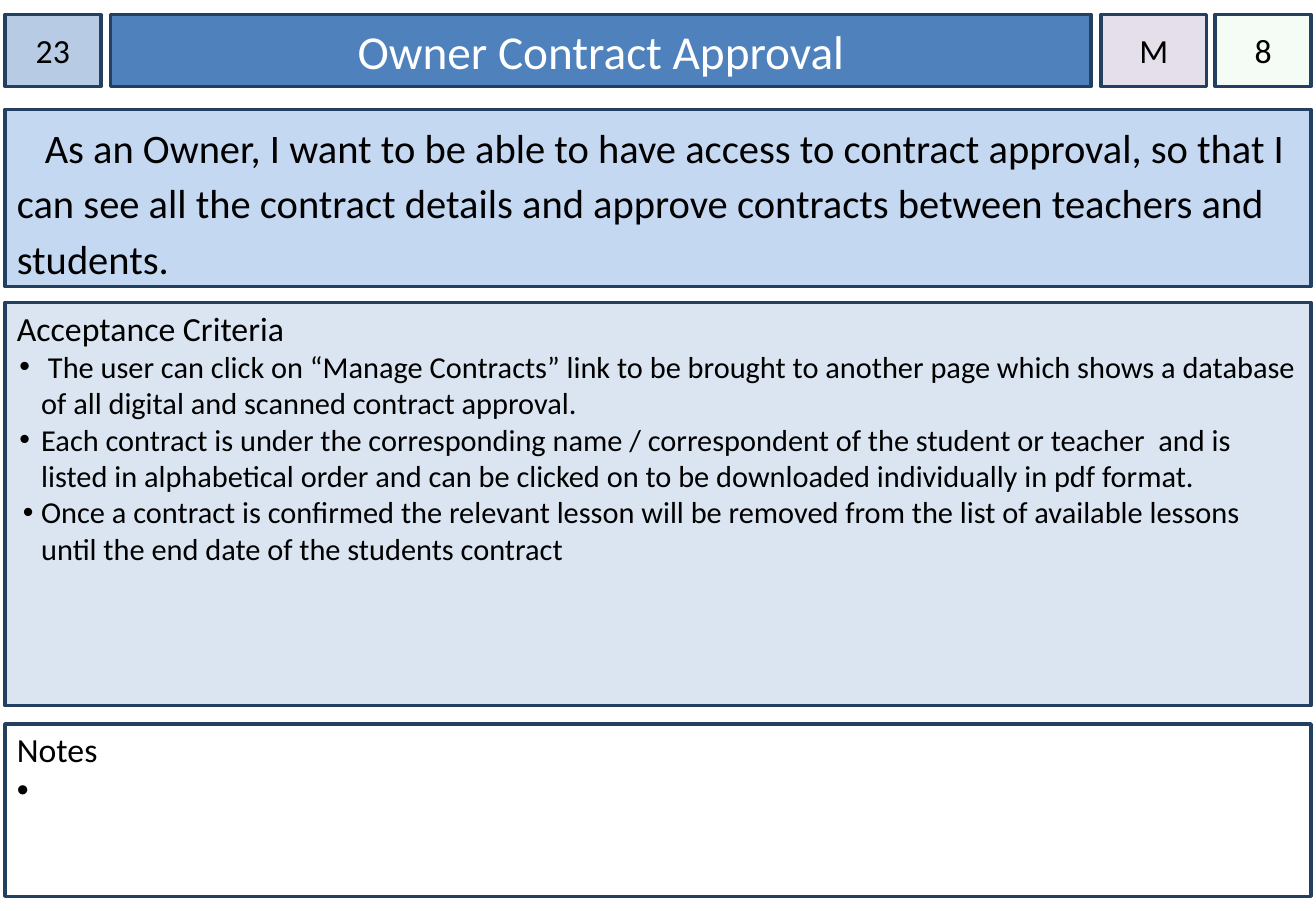
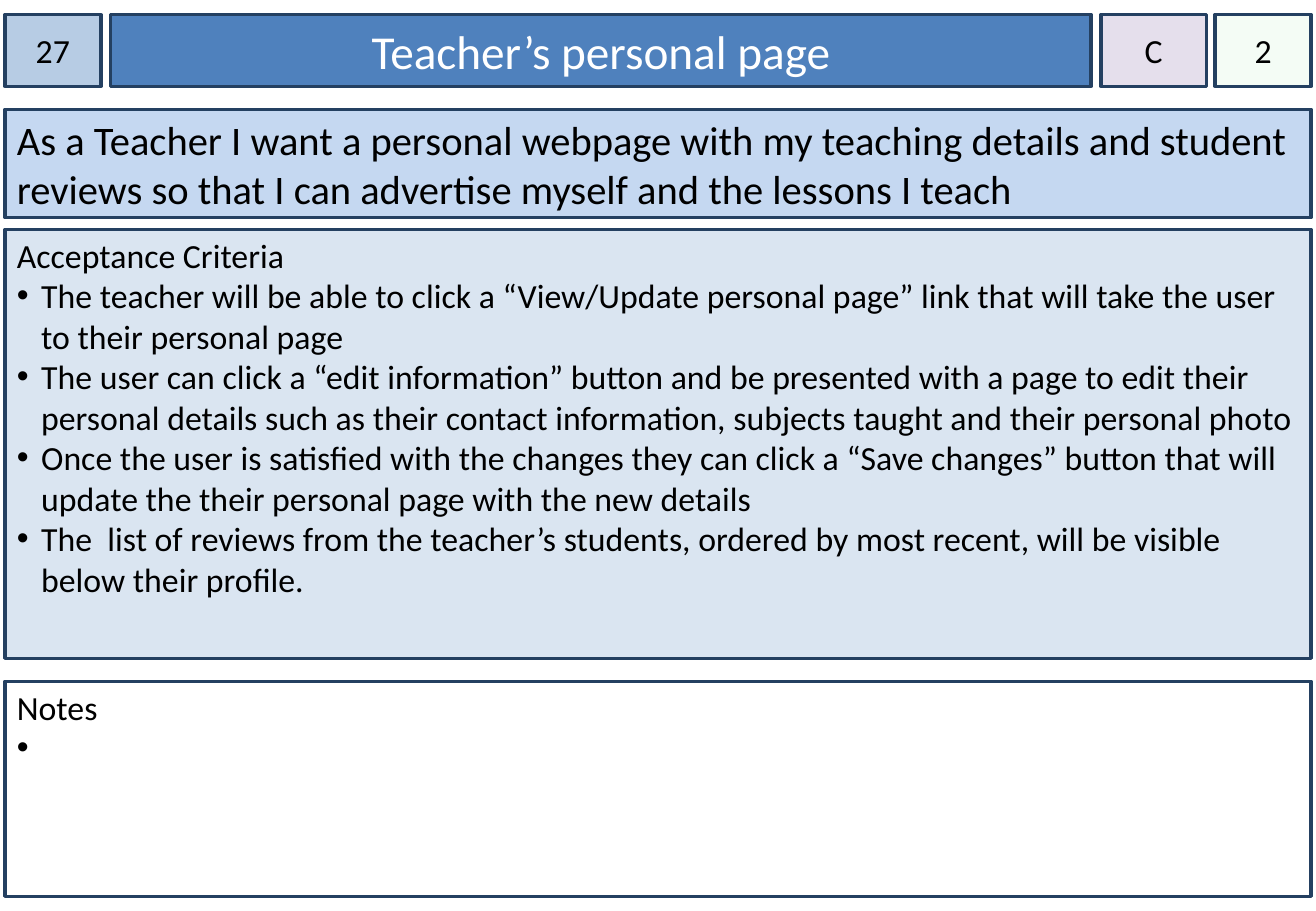
"""Build two user story cards that share one layout."""
from lxml.etree import SubElement
from pptx import Presentation
from pptx.dml.color import RGBColor
from pptx.enum.shapes import MSO_SHAPE
from pptx.enum.text import MSO_ANCHOR, PP_ALIGN
from pptx.oxml.ns import qn
from pptx.util import Inches, Pt

FONT = "Calibri"
BLACK, WHITE, BORDER = "000000", "FFFFFF", "244061"
LEFT, WIDTH, BOTTOM = 0.04, 10.75, 7.38
HEADER_TOP, HEADER_HEIGHT, STORY_TOP = 0.12, 0.59, 0.9
BULLET_MARGIN = 0.2

HEADER = [
    {"key": "number", "left": 0.04, "width": 0.79, "fill": "B7CCE4"},
    {"key": "title", "left": 0.91, "width": 8.07, "fill": "4F81BD",
     "size": 28, "color": WHITE, "inset": 0.1},
    {"key": "points", "left": 10, "width": 0.79, "fill": "CCF0CD", "opacity": 20},
    {"key": "priority", "left": 9.06, "width": 0.87, "fill": "E5DFEC"},
]

CARDS = [
    {
        "number": "23", "title": "Owner Contract Approval", "priority": "M", "points": "8",
        "story": "As an Owner, I want to be able to have access to contract approval, so that I "
                 "can see all the contract details and approve contracts between teachers and "
                 "students.",
        "story_indent": 0.23, "story_spacing": 1.15, "story_height": 1.46,
        "criteria_top": 2.49, "criteria_height": 3.32, "notes_top": 5.96,
        "criteria_size": 18, "hangs": [0.18, 0.18, 0.15],
        "criteria": [
            " The user can click on “Manage Contracts” link to be brought to another page which "
            "shows a database of all digital and scanned contract approval.",
            "Each contract is under the corresponding name / correspondent of the student or "
            "teacher  and is listed in alphabetical order and can be clicked on to be downloaded "
            "individually in pdf format.",
            "Once a contract is confirmed the relevant lesson will be removed from the list of "
            "available lessons until the end date of the students contract",
        ],
    },
    {
        "number": "27", "title": "Teacher’s personal page", "priority": "C", "points": "2",
        "story": "As a Teacher I want a personal webpage with my teaching details and student "
                 "reviews so that I can advertise myself and the lessons I teach",
        "story_indent": 0, "story_spacing": 1, "story_height": 0.89,
        "criteria_top": 1.89, "criteria_height": 3.53, "notes_top": 5.61,
        "criteria_size": 20, "hangs": [0.2] * 4,
        "criteria": [
            "The teacher will be able to click a “View/Update personal page” link that will take "
            "the user to their personal page",
            "The user can click a “edit information” button and be presented with a page to edit "
            "their personal details such as their contact information, subjects taught and their "
            "personal photo",
            "Once the user is satisfied with the changes they can click a “Save changes” button "
            "that will update the their personal page with the new details",
            "The  list of reviews from the teacher’s students, ordered by most recent, will be "
            "visible below their profile.",
        ],
    },
]


def rgb(value):
    return RGBColor.from_string(value)


def add_box(slide, left, top, width, height, fill, inset=0.1, inset_top=0.05, opacity=100):
    shape = slide.shapes.add_shape(
        MSO_SHAPE.RECTANGLE, Inches(left), Inches(top), Inches(width), Inches(height))
    shape.shadow.inherit = False
    shape.fill.solid()
    shape.fill.fore_color.rgb = rgb(fill)
    if opacity < 100:
        color = shape.fill._xPr.find(qn("a:solidFill"))[0]
        SubElement(color, qn("a:alpha"), val=str(opacity * 1000))
    shape.line.color.rgb = rgb(BORDER)
    shape.line.width = Pt(2)
    text_frame = shape.text_frame
    text_frame.word_wrap = True
    text_frame.vertical_anchor = MSO_ANCHOR.TOP
    text_frame.margin_left = text_frame.margin_right = Inches(inset)
    text_frame.margin_top, text_frame.margin_bottom = Inches(inset_top), Inches(0.05)
    return text_frame


def write(paragraph, text, size, color=BLACK, align=PP_ALIGN.LEFT):
    paragraph.text = text
    paragraph.alignment = align
    for run in paragraph.runs:
        run.font.name = FONT
        run.font.size = Pt(size)
        run.font.color.rgb = rgb(color)


def add_bullet(paragraph, hang):
    properties = paragraph._p.get_or_add_pPr()
    properties.set("marL", str(Inches(BULLET_MARGIN)))
    properties.set("indent", str(-Inches(hang)))
    SubElement(SubElement(properties, qn("a:buClr")), qn("a:srgbClr"), val=BLACK)
    SubElement(properties, qn("a:buFont"), typeface="Arial")
    SubElement(properties, qn("a:buChar"), char="•")


def add_list(slide, top, height, fill, heading, items, size, hangs):
    text_frame = add_box(slide, LEFT, top, WIDTH, height, fill, inset_top=0.04)
    write(text_frame.paragraphs[0], heading, 20)
    for item, hang in zip(items, hangs):
        paragraph = text_frame.add_paragraph()
        add_bullet(paragraph, hang)
        write(paragraph, item, size)


def add_header(slide, card):
    for cell in HEADER:
        text_frame = add_box(slide, cell["left"], HEADER_TOP, cell["width"], HEADER_HEIGHT,
                             cell["fill"], cell.get("inset", 0), opacity=cell.get("opacity", 100))
        text_frame.vertical_anchor = MSO_ANCHOR.MIDDLE
        write(text_frame.paragraphs[0], card[cell["key"]], cell.get("size", 20),
              cell.get("color", BLACK), PP_ALIGN.CENTER)


def add_story(slide, card):
    text_frame = add_box(slide, LEFT, STORY_TOP, WIDTH, card["story_height"], "C5D8F1")
    paragraph = text_frame.paragraphs[0]
    write(paragraph, card["story"], 24)
    paragraph.line_spacing = card["story_spacing"]
    paragraph._p.get_or_add_pPr().set("indent", str(Inches(card["story_indent"])))


def main():
    presentation = Presentation()
    presentation.slide_width, presentation.slide_height = Inches(10.83), Inches(7.5)
    for card in CARDS:
        slide = presentation.slides.add_slide(presentation.slide_layouts[6])
        add_header(slide, card)
        add_story(slide, card)
        add_list(slide, card["criteria_top"], card["criteria_height"], "DAE5F1",
                 "Acceptance Criteria", card["criteria"], card["criteria_size"], card["hangs"])
        add_list(slide, card["notes_top"], BOTTOM - card["notes_top"], WHITE,
                 "Notes", [" "], 20, [BULLET_MARGIN])
    presentation.save("out.pptx")


if __name__ == "__main__":
    main()
